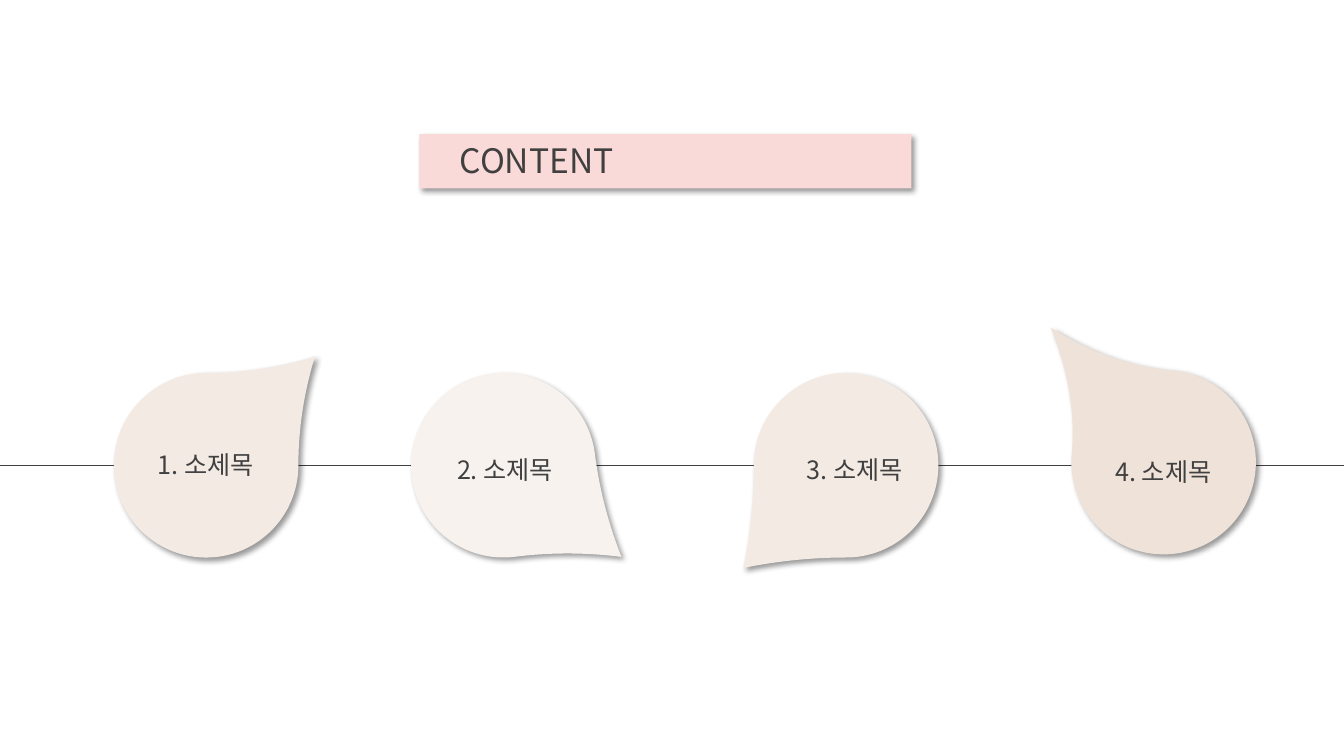
from dataclasses import dataclass

from lxml.etree import SubElement
from pptx import Presentation
from pptx.dml.color import RGBColor
from pptx.enum.shapes import MSO_CONNECTOR as Connector, MSO_SHAPE as Preset
from pptx.enum.text import MSO_ANCHOR as Anchor, MSO_AUTO_SIZE as AutoSize, PP_ALIGN as Align
from pptx.oxml.ns import qn
from pptx.util import Cm, Pt


@dataclass(frozen=True)
class Theme:
    """Colours, font and type sizes of the deck."""
    font: str = "Noto Sans CJK KR"
    ink: str = "404040"
    bar: str = "FADAD8"
    sand: str = "F4EAE4"
    pale: str = "F8F2EE"
    tan: str = "EFE2D9"
    shadow: str = "000000"
    title_size: int = 24
    label_size: int = 18


THEME = Theme()
DROP_SIZE = 4.65
# Box left and top, fill, point length, flips, rotation, label offset, label
DROPS = [
    (2.87, 9.4, THEME.sand, 1.18, "", 0, (0.53, 1.8), "1. 소제목"),
    (10.36, 9.4, THEME.pale, 1.146, "V", 352.8, (0.58, 1.93), "2. 소제목"),
    (19, 9.4, THEME.sand, 1.113, "HV", 0, (0.76, 1.93), "3. 소제목"),
    (27, 9.32, THEME.tan, 1.346, "H", 5, (0.53, 2.06), "4. 소제목"),
]


def set_all(target, values):
    """Set every attribute named in values on target."""
    for name, value in values.items():
        setattr(target, name, value)


def place(shape, box):
    """Move a shape to a left, top, width, height box in centimetres."""
    set_all(shape, dict(zip(("left", "top", "width", "height"), map(Cm, box))))


def write(shape, text, size, align):
    """Put one formatted line of text into a shape."""
    frame = shape.text_frame
    set_all(frame, {"text": text, "word_wrap": True, "vertical_anchor": Anchor.TOP,
                    "auto_size": AutoSize.SHAPE_TO_FIT_TEXT})
    para = frame.paragraphs[0]
    set_all(para, {"alignment": align, "line_spacing": 1.0, "space_before": Pt(0)})
    span = para.runs[0]
    set_all(span.font, {"name": THEME.font, "size": Pt(size)})
    span.font.color.rgb = RGBColor.from_string(THEME.ink)
    SubElement(span.font._element, qn("a:ea"), typeface=THEME.font)


def add_panel(page, preset, box, fill):
    """Add a borderless filled shape with a soft shadow to the lower right."""
    panel = page.shapes.add_shape(preset, *map(Cm, box))
    panel.fill.solid()
    panel.fill.fore_color.rgb = RGBColor.from_string(fill)
    panel.line.fill.background()
    panel.shadow.inherit = False
    effects = panel.element.spPr.find(qn("a:effectLst"))
    shadow = SubElement(effects, qn("a:outerShdw"), blurRad=str(Pt(4)), dist=str(Pt(3)),
                        dir=str(45 * 60000), algn="tl", rotWithShape="0")
    color = SubElement(shadow, qn("a:srgbClr"), val=THEME.shadow)
    SubElement(color, qn("a:alpha"), val="40000")
    return panel


def add_heading(page, box):
    """Draw the heading bar and lay the slide title over it."""
    left, top, width, height = box
    bar = add_panel(page, Preset.RECTANGLE, box, THEME.bar)
    title = page.shapes.title
    bar.element.addnext(title.element)
    place(title, (left + 0.76, top + 0.03, width - 1.58, height - 0.1))
    write(title, "CONTENT", THEME.title_size, Align.JUSTIFY)


def add_thread(page, box):
    """Draw the level line that runs behind the drops."""
    left, top, width, height = box
    thread = page.shapes.add_connector(
        Connector.STRAIGHT, Cm(left), Cm(top), Cm(left + width), Cm(top + height))
    thread.line.width = Pt(1)
    thread.line.color.rgb = RGBColor.from_string(THEME.ink)
    SubElement(thread.element.spPr, qn("a:effectLst"))


def add_drop(page, box, fill, point, flips, rotation):
    """Draw one teardrop, turned and mirrored as asked."""
    drop = add_panel(page, Preset.TEAR, box, fill)
    drop.adjustments[0] = point
    drop.rotation = rotation
    for axis in flips:
        drop.element.spPr.find(qn("a:xfrm")).set("flip" + axis, "1")


def add_label(page, box, offset, text):
    """Write the label of a drop, offset from the corner of its box."""
    label = page.shapes.add_textbox(0, 0, 0, 0)
    write(label, text, THEME.label_size, Align.CENTER)
    place(label, (box[0] + offset[0], box[1] + offset[1], 3.58, 1.02))


def add_contents(page):
    """Build the contents slide."""
    add_heading(page, (10.57, 3.38, 12.4, 1.37))
    add_thread(page, (-0.5, 11.73, 34.87, 0))
    boxes = [(left, top, DROP_SIZE, DROP_SIZE) for left, top, *_ in DROPS]
    for box, (_, _, fill, point, flips, rotation, _, _) in zip(boxes, DROPS):
        add_drop(page, box, fill, point, flips, rotation)
    for box, (*_, offset, text) in zip(boxes, DROPS):
        add_label(page, box, offset, text)


deck = Presentation()
set_all(deck, {"slide_width": Cm(33.87), "slide_height": Cm(19.05)})
add_contents(deck.slides.add_slide(deck.slide_layouts.get_by_name("Title Only")))
deck.save("out.pptx")
